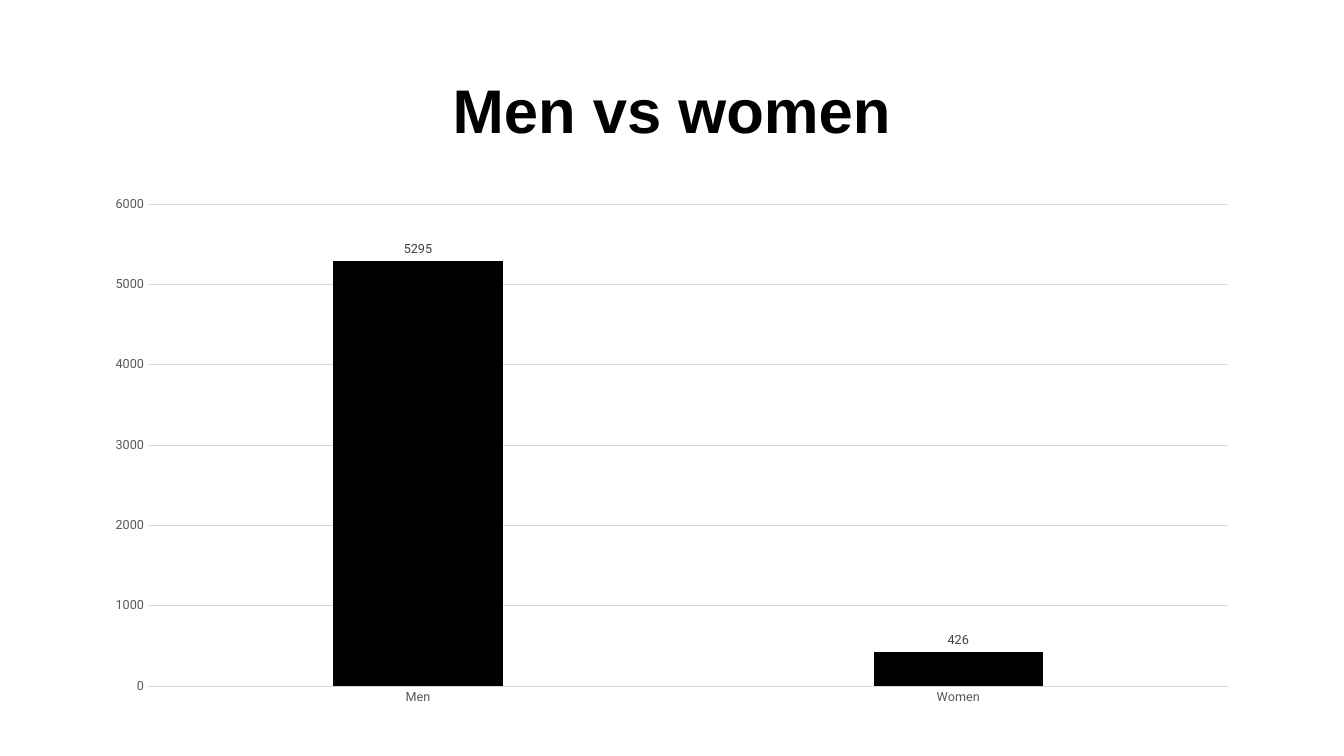
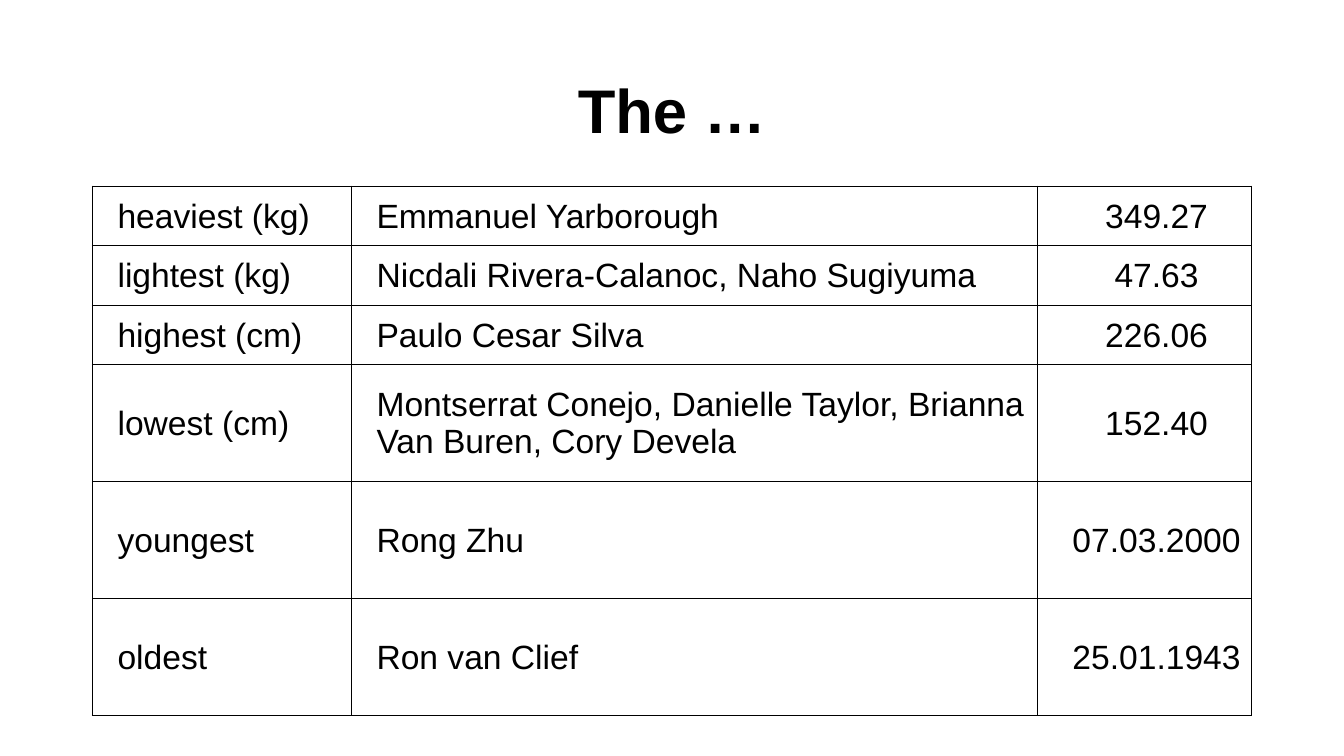
"""Build two slides on fighter statistics: a column chart and a table of records."""
from dataclasses import dataclass

from lxml import etree
from pptx import Presentation
from pptx.chart import data as cd
from pptx.dml.color import RGBColor
from pptx.enum import chart as ch, text
from pptx.oxml import ns
from pptx.util import Pt


@dataclass(frozen=True)
class Theme:
    """Colours, fonts and type sizes shared by the slides."""
    ink: str = "000000"
    axis: str = "595959"
    label: str = "404040"
    grid: str = "D9D9D9"
    font: str = "Arial"
    chart_font: str = "Roboto"
    title: float = 44
    body: float = 24
    chart: float = 10
    small: float = 9
    hairline: float = 0.75
    border: float = 1


T = Theme()
SLIDE = (960, 540)
TITLE_BOX = (66, 29, 828, 104)
CONTENT_BOX = (66, 133, 828, 378)
COUNTS = {"Men": 5295, "Women": 426}
COLUMNS = (185, 490, 153)
ROWS = (42.5,) * 3 + (83.5,) * 3
CELL_INDENT = 17.3
RECORDS = (
    ("heaviest (kg)", "Emmanuel Yarborough", "349.27"),
    ("lightest (kg)", "Nicdali Rivera-Calanoc, Naho Sugiyuma", "47.63"),
    ("highest (cm)", "Paulo Cesar Silva", "226.06"),
    ("lowest (cm)", "Montserrat Conejo, Danielle Taylor, Brianna Van Buren, Cory Devela", "152.40"),
    ("youngest", "Rong Zhu", "07.03.2000"),
    ("oldest", "Ron van Clief", "25.01.1943"),
)


def apply(obj, values):
    """Set each named attribute of an object."""
    for name, value in values.items():
        setattr(obj, name, value)


def points(box):
    """Turn a tuple of numbers into lengths in points."""
    return [Pt(n) for n in box]


def style_font(font, size, color, name=T.font, bold=False):
    """Give a font its size, colour, face and weight."""
    apply(font, {"size": Pt(size), "name": name, "bold": bold})
    font.color.rgb = RGBColor.from_string(color)


def style_line(line, color=T.grid, width=T.hairline):
    """Give a line its colour and width."""
    line.color.rgb = RGBColor.from_string(color)
    line.width = Pt(width)


def add_titled_slide(prs, title):
    """Add a blank slide with a centred bold title."""
    s = prs.slides.add_slide(prs.slide_layouts[6])
    tf = s.shapes.add_textbox(*points(TITLE_BOX)).text_frame
    apply(tf, {"word_wrap": True, "vertical_anchor": text.MSO_ANCHOR.MIDDLE})
    p = tf.paragraphs[0]
    apply(p, {"alignment": text.PP_ALIGN.CENTER, "line_spacing": 0.9})
    r = p.add_run()
    r.text = title
    style_font(r.font, T.title, T.ink, bold=True)
    return s


def style_axis(axis):
    """Remove tick marks and set the label font of an axis."""
    apply(axis, {"major_tick_mark": ch.XL_TICK_MARK.NONE,
                 "minor_tick_mark": ch.XL_TICK_MARK.NONE})
    style_font(axis.tick_labels.font, T.small, T.axis, T.chart_font)


def add_column_chart(s, counts):
    """Add a column chart with a value above each column."""
    data = cd.CategoryChartData()
    data.categories = list(counts)
    data.add_series("Series 1", list(counts.values()))
    chart = s.shapes.add_chart(
        ch.XL_CHART_TYPE.COLUMN_CLUSTERED, *points(CONTENT_BOX), data).chart
    apply(chart, {"has_title": False, "has_legend": False})
    style_font(chart.font, T.chart, T.ink, T.chart_font)

    for axis in (chart.category_axis, chart.value_axis):
        style_axis(axis)
    style_line(chart.category_axis.format.line)
    apply(chart.value_axis, {"minimum_scale": 0, "maximum_scale": 6000,
                             "major_unit": 1000, "has_major_gridlines": True})
    chart.value_axis.format.line.fill.background()
    style_line(chart.value_axis.major_gridlines.format.line)

    plot = chart.plots[0]
    apply(plot, {"gap_width": 219, "overlap": -27, "vary_by_categories": False})
    series = plot.series[0]
    series.format.fill.solid()
    series.format.fill.fore_color.rgb = RGBColor.from_string(T.ink)
    labels = series.data_labels
    apply(labels, {"show_value": True, "position": ch.XL_LABEL_POSITION.OUTSIDE_END})
    style_font(labels.font, T.small, T.label, T.chart_font)


def add_borders(cell):
    """Draw a line on each side of a table cell."""
    props = cell._tc.get_or_add_tcPr()
    for side in ("lnL", "lnR", "lnT", "lnB"):
        ln = etree.SubElement(props, ns.qn(f"a:{side}"), w=str(Pt(T.border)))
        fill = etree.SubElement(ln, ns.qn("a:solidFill"))
        etree.SubElement(fill, ns.qn("a:srgbClr"), val=T.ink)


def fill_cell(cell, words, alignment):
    """Write indented text in a bordered, unfilled cell."""
    apply(cell, {"margin_left": Pt(0.7), "margin_right": Pt(0.7),
                 "margin_top": Pt(0.7), "margin_bottom": 0,
                 "vertical_anchor": text.MSO_ANCHOR.MIDDLE})
    add_borders(cell)
    cell.fill.background()
    p = cell.text_frame.paragraphs[0]
    p.alignment = alignment
    apply_indent = {"marL": str(Pt(CELL_INDENT)), "indent": "0"}
    p._p.get_or_add_pPr().attrib.update(apply_indent)
    r = p.add_run()
    r.text = words
    style_font(r.font, T.body, T.ink)


def add_record_table(s, records):
    """Add a plain grid with the last column centred."""
    table = s.shapes.add_table(len(ROWS), len(COLUMNS), *points(CONTENT_BOX)).table
    apply(table, {"first_row": False, "horz_banding": False})
    for column, width in zip(table.columns, COLUMNS):
        column.width = Pt(width)
    for row, height, record in zip(table.rows, ROWS, records):
        row.height = Pt(height)
        alignments = (text.PP_ALIGN.LEFT, text.PP_ALIGN.LEFT, text.PP_ALIGN.CENTER)
        for cell, words, alignment in zip(row.cells, record, alignments):
            fill_cell(cell, words, alignment)


def main():
    """Build and save the presentation."""
    prs = Presentation()
    prs.slide_width, prs.slide_height = points(SLIDE)
    add_column_chart(add_titled_slide(prs, "Men vs women"), COUNTS)
    add_record_table(add_titled_slide(prs, "The …"), RECORDS)
    prs.save("out.pptx")


if __name__ == "__main__":
    main()
